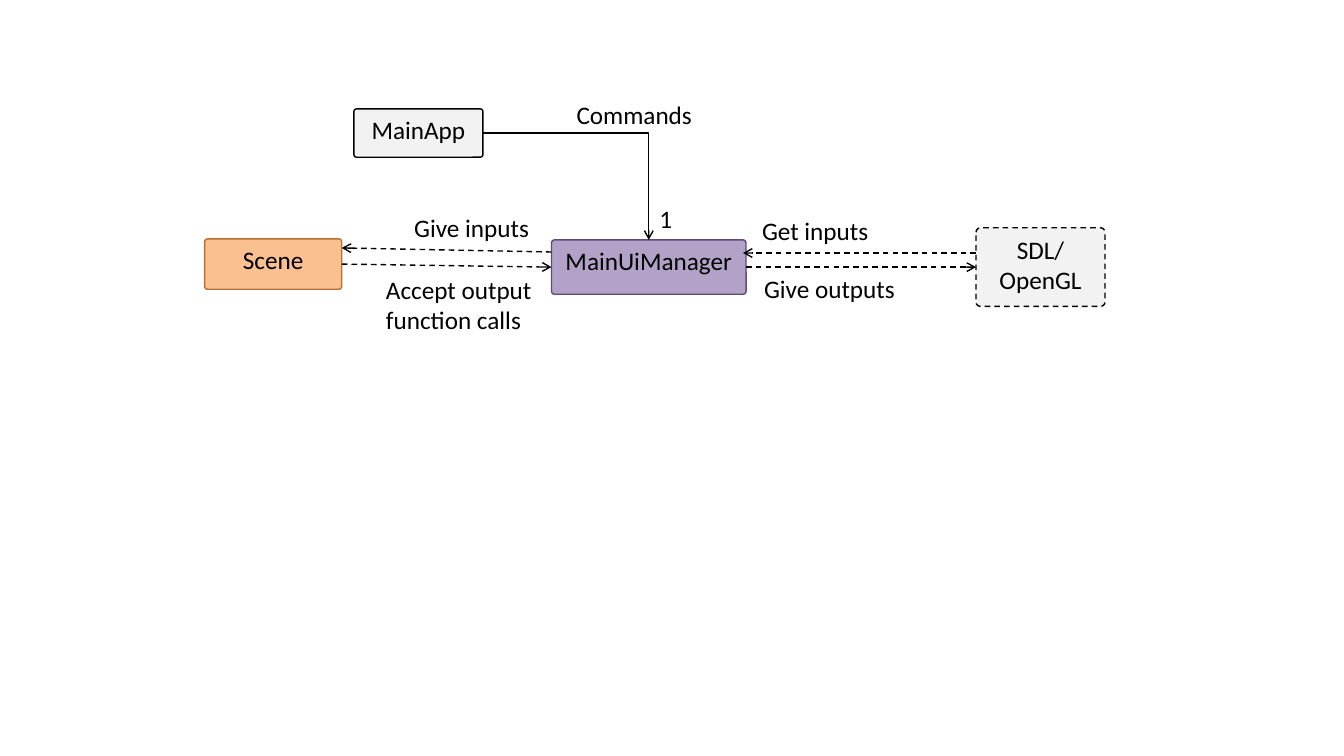
"""Build a one-page diagram of how MainUiManager talks to its neighbours."""
from lxml import etree
from pptx import Presentation
from pptx.dml.color import RGBColor
from pptx.enum import dml, shapes, text
from pptx.oxml import ns
from pptx.util import Inches, Pt

THEME = {
    "font": "Calibri", "size": 18, "line": 1, "ink": "000000", "corner": 0.057,
    "manager": ("B3A2C7", "5F4A78"),
    "scene": ("FAC090", "B76F34"),
    "neutral": ("F2F2F2", "000000"),
}
BOXES = {
    "MainUiManager": (5.47, 2.38, 1.93, 0.54, "manager", False),
    "MainApp": (3.51, 1.08, 1.28, 0.48, "neutral", False),
    "SDL/ OpenGL": (9.68, 2.26, 1.28, 0.78, "neutral", True),
    "Scene": (2.03, 2.37, 1.36, 0.5, "scene", False),
}
LABELS = [
    ("Commands", 5.62, 0.94, 1.4, 0.4),
    ("1", 6.44, 1.97, 0.41, 0.4),
    ("Get inputs", 7.46, 2.09, 1.4, 0.4),
    ("Give outputs", 7.48, 2.66, 1.66, 0.4),
    ("Give inputs", 4.01, 2.06, 1.66, 0.4),
    ("Accept output function calls", 3.73, 2.67, 1.66, 0.71),
]


def color(value):
    return RGBColor.from_string(value)


def style_line(line, ink, dashed):
    line.color.rgb = color(ink)
    line.width = Pt(THEME["line"])
    if dashed:
        line.dash_style = dml.MSO_LINE.DASH


def write(shape, words, align):
    frame = shape.text_frame
    frame.word_wrap = True
    frame.vertical_anchor = text.MSO_ANCHOR.TOP
    para = frame.paragraphs[0]
    para.text = words
    para.alignment = align
    para.font.name = THEME["font"]
    para.font.size = Pt(THEME["size"])
    para.font.color.rgb = color(THEME["ink"])


def add_box(page, name, left, top, width, height, role, dashed):
    box = page.shapes.add_shape(
        shapes.MSO_SHAPE.ROUNDED_RECTANGLE, *map(Inches, (left, top, width, height)))
    fill, outline = THEME[role]
    box.adjustments[0] = THEME["corner"]
    box.shadow.inherit = False
    box.fill.solid()
    box.fill.fore_color.rgb = color(fill)
    style_line(box.line, outline, dashed)
    write(box, name, text.PP_ALIGN.CENTER)


def add_label(page, words, *place):
    label = page.shapes.add_textbox(*map(Inches, place))
    write(label, words, text.PP_ALIGN.LEFT)


def add_arrow(page, start, end, bent=False):
    kind = shapes.MSO_CONNECTOR.ELBOW if bent else shapes.MSO_CONNECTOR.STRAIGHT
    arrow = page.shapes.add_connector(kind, *map(Inches, (*start, *end)))
    style_line(arrow.line, THEME["ink"], not bent)
    properties = arrow._element.spPr
    if bent:
        properties.find(ns.qn("a:prstGeom")).set("prst", "bentConnector2")
    outline = properties.find(ns.qn("a:ln"))
    etree.SubElement(outline, ns.qn("a:tailEnd"), type="arrow")
    etree.SubElement(properties, ns.qn("a:effectLst"))


def sides(name):
    left, top, width, height = BOXES[name][:4]
    return {"left": left, "right": left + width, "top": top,
            "center": left + width / 2, "middle": top + height / 2}


deck = Presentation()
deck.slide_width, deck.slide_height = Inches(13.33), Inches(7.5)
page = deck.slides.add_slide(deck.slide_layouts[6])

for name, details in BOXES.items():
    add_box(page, name, *details)

manager, app, library, scene = map(sides, BOXES)
add_arrow(page, (app["right"], app["middle"]), (manager["center"], manager["top"]), bent=True)
add_arrow(page, (manager["right"], manager["middle"]), (library["left"], library["middle"]))
add_arrow(page, (library["left"], 2.51), (7.37, 2.51))
add_arrow(page, (scene["right"], scene["middle"]), (manager["left"], manager["middle"]))
add_arrow(page, (manager["left"], 2.5), (scene["right"], 2.46))

for label in LABELS:
    add_label(page, *label)

deck.save("out.pptx")
